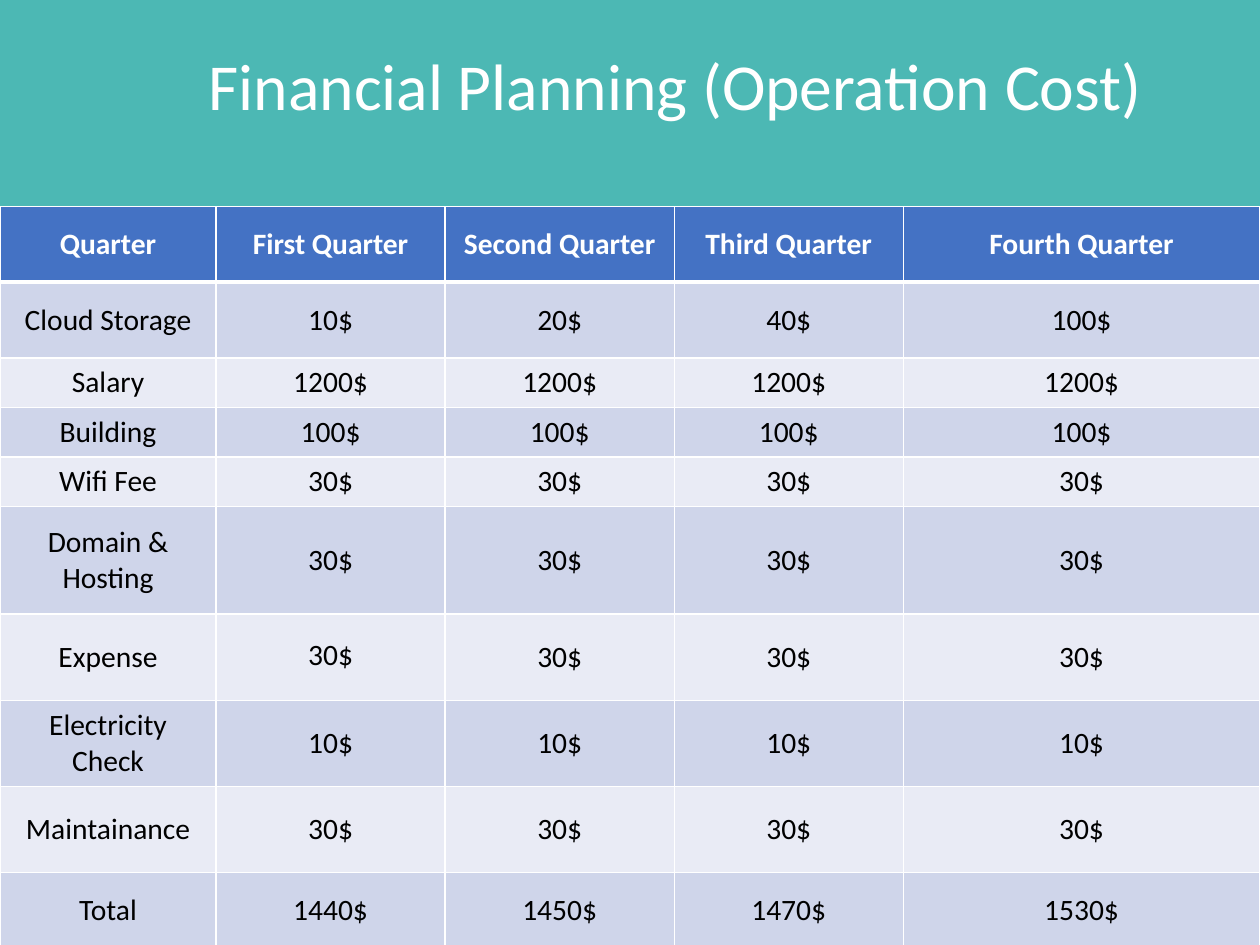
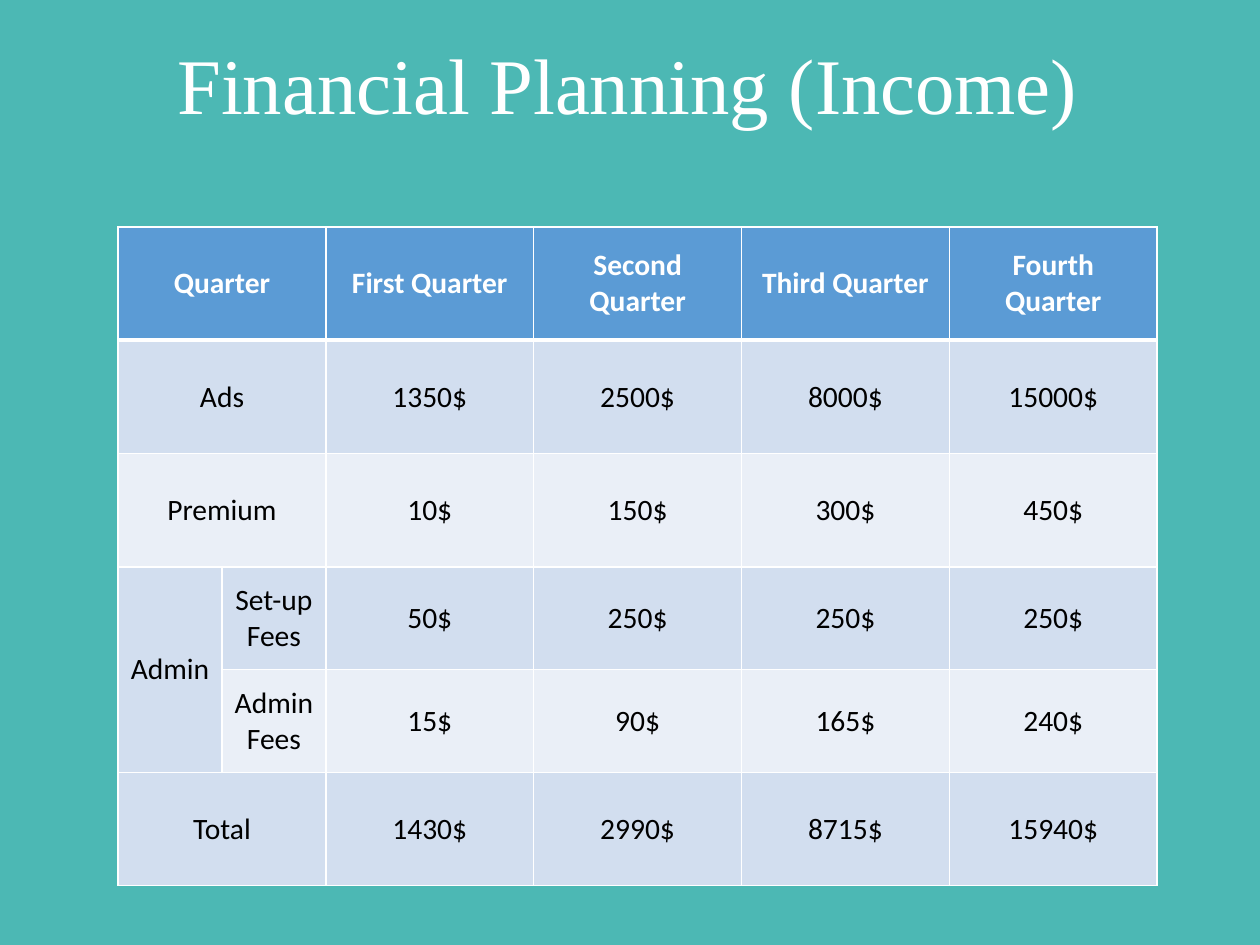
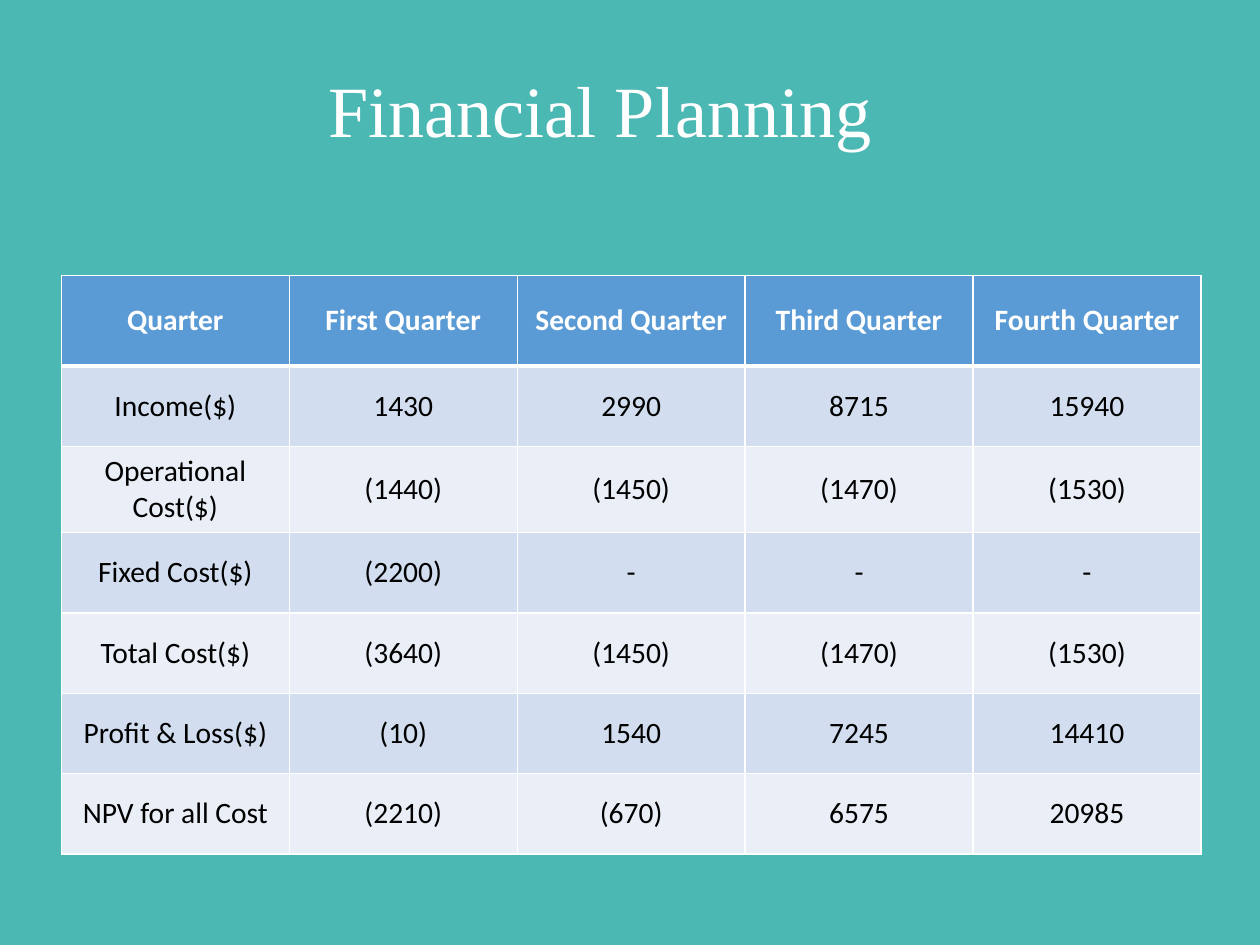
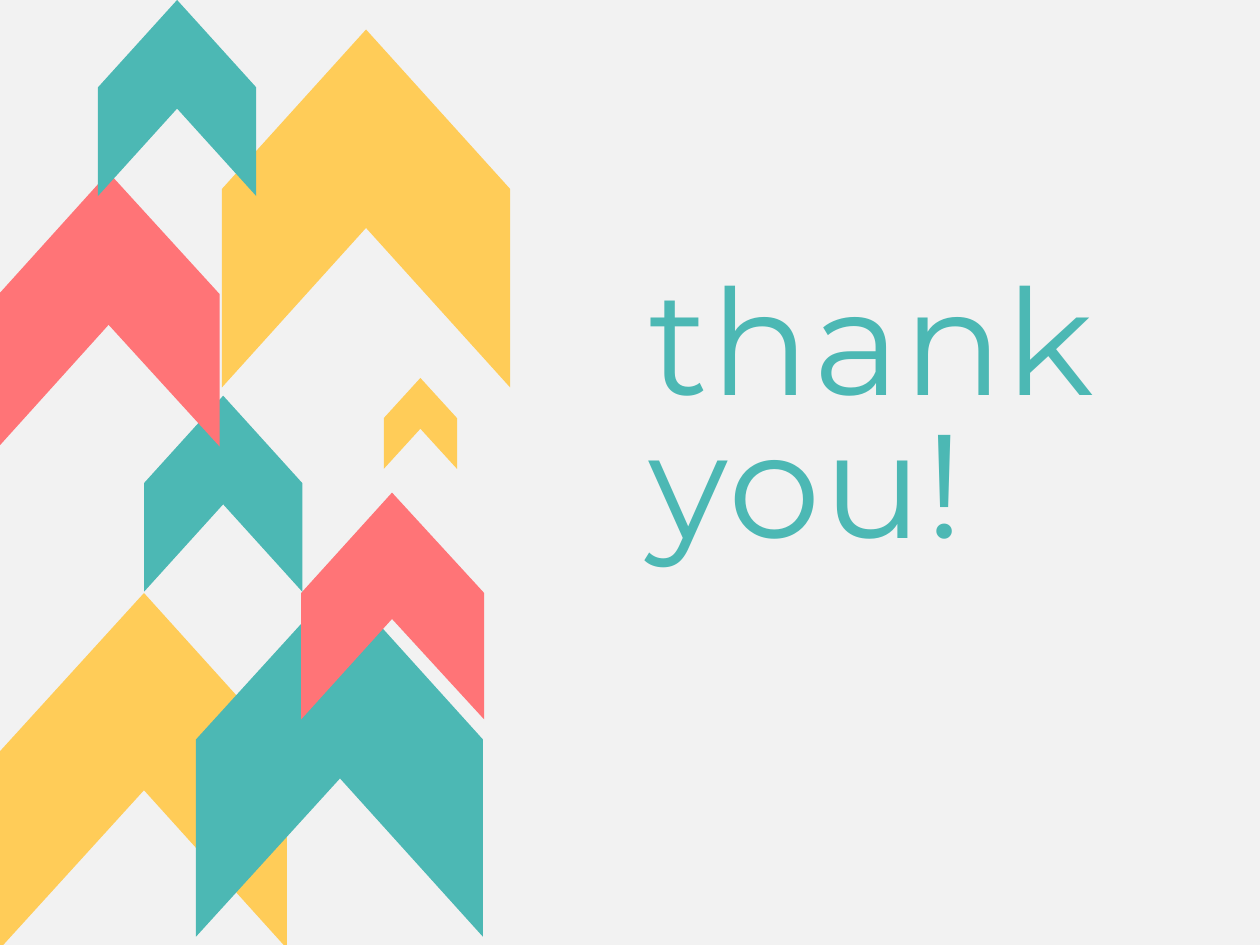
from dataclasses import dataclass

from lxml.etree import SubElement
from pptx import Presentation
from pptx.dml.color import RGBColor
from pptx.enum.text import MSO_ANCHOR as Anchor, MSO_AUTO_SIZE as AutoSize, PP_ALIGN as Align
from pptx.oxml.ns import qn
from pptx.util import Pt

PX = 9144
PAGE_WIDTH, PAGE_HEIGHT = 1067, 800
CHEVRON_ASPECT, SHOULDER, NOTCH = 1.24, 0.445, 0.555

COLORS = {
    "teal": "4CB8B4",
    "yellow": "FFCC58",
    "coral": "FF7477",
    "paper": "F2F2F2",
    "white": "FFFFFF",
    "black": "000000",
    "indigo": "4472C4",
    "indigo_band": "CFD5EA",
    "indigo_pale": "E9EBF5",
    "blue": "5B9BD5",
    "blue_band": "D2DEEF",
    "blue_pale": "EAEFF7",
}
INDIGO_THEME = ("indigo", "indigo_band", "indigo_pale")
BLUE_THEME = ("blue", "blue_band", "blue_pale")
QUARTERS = ("First Quarter", "Second Quarter", "Third Quarter", "Fourth Quarter")
CELL_FONT = {"name": "Calibri", "size": Pt(18)}


@dataclass(frozen=True)
class Label:
    text: str
    bounds: tuple[int, int, int, int]
    font: str
    size: float
    color: str = "white"
    align: Align = Align.CENTER
    anchor: Anchor = Anchor.TOP
    level: int = 0
    indent: int = 0
    margin: tuple[int, int] = (10, 5)
    line_points: float | None = None
    tracking: int = 0


@dataclass(frozen=True)
class Grid:
    left: int
    top: int
    columns: tuple[int, ...]
    heights: tuple[int, ...]
    theme: tuple[str, str, str]
    rows: tuple[tuple[str, ...], ...]
    merges: tuple[tuple[int, int, int, int], ...] = ()
    tight_cells: tuple[tuple[int, int], ...] = ()


@dataclass(frozen=True)
class Chevron:
    left: int
    top: int
    width: int
    color: str


COST_ROWS = (
    ("Quarter", *QUARTERS),
    ("Cloud Storage", "10$", "20$", "40$", "100$"),
    ("Salary", *["1200$"] * 4),
    ("Building", *["100$"] * 4),
    ("Wifi Fee", *["30$"] * 4),
    ("Domain & Hosting", *["30$"] * 4),
    ("Expense", *["30$"] * 4),
    ("Electricity Check", *["10$"] * 4),
    ("Maintainance", *["30$"] * 4),
    ("Total", "1440$", "1450$", "1470$", "1530$"),
)
INCOME_ROWS = (
    ("Quarter", "", *QUARTERS),
    ("Ads", "", "1350$", "2500$", "8000$", "15000$"),
    ("Premium", "", "10$", "150$", "300$", "450$"),
    ("Admin", "Set-up Fees", "50$", "250$", "250$", "250$"),
    ("", "Admin Fees", "15$", "90$", "165$", "240$"),
    ("Total", "", "1430$", "2990$", "8715$", "15940$"),
)
SUMMARY_ROWS = (
    ("Quarter", *QUARTERS),
    ("Income($)", "1430", "2990", "8715", "15940"),
    ("Operational Cost($)", "(1440)", "(1450)", "(1470)", "(1530)"),
    ("Fixed Cost($)", "(2200)", "-", "-", "-"),
    ("Total Cost($)", "(3640)", "(1450)", "(1470)", "(1530)"),
    ("Profit & Loss($)", "(10)", "1540", "7245", "14410"),
    ("NPV for all Cost", "(2210)", "(670)", "6575", "20985"),
)

FINANCE_PAGES = (
    (
        Grid(0, 175, (183, 194, 194, 194, 302), (64, 64, 42, 42, 42, 91, 73, 73, 73, 64),
             INDIGO_THEME, COST_ROWS, tight_cells=((6, 1),)),
        Label("Financial Planning (Operation Cost)", (67, 33, 951, 77), "Calibri", 40,
              align=Align.JUSTIFY, level=2, indent=100),
    ),
    (
        Grid(100, 192, (88, 88, 176, 176, 176, 176), (96, 96, 96, 87, 87, 96),
             BLUE_THEME, INCOME_ROWS,
             merges=(*((row, 0, row, 1) for row in (0, 1, 2, 5)), (3, 0, 4, 0))),
        Label("Financial Planning (Income)", (24, 25, 1015, 91), "Times New Roman", 48,
              anchor=Anchor.MIDDLE),
    ),
    (
        Grid(52, 233, (193,) * 5, (77, 68, 73, 68, 68, 68, 68), BLUE_THEME, SUMMARY_ROWS),
        Label("Financial Planning", (167, 50, 683, 84), "Times New Roman", 44),
    ),
)

THANKS = Label("thank you!", (549, 239, 438, 242), "Montserrat", 89.8, "teal",
               align=Align.LEFT, margin=(0, 0), line_points=87, tracking=180)
CHEVRONS = (
    Chevron(0, 502, 243, "yellow"),
    Chevron(166, 492, 243, "teal"),
    Chevron(255, 417, 155, "coral"),
    Chevron(325, 320, 62, "yellow"),
    Chevron(122, 335, 134, "teal"),
    Chevron(-1, 146, 187, "coral"),
    Chevron(188, 25, 244, "yellow"),
    Chevron(83, 0, 134, "teal"),
)


def rgb(name: str) -> RGBColor:
    return RGBColor.from_string(COLORS[name])


def apply_format(target, values: dict) -> None:
    for name, value in values.items():
        setattr(target, name, value)


def paint(fill, color: str) -> None:
    fill.solid()
    fill.fore_color.rgb = rgb(color)


def add_page(deck, color: str):
    page = deck.slides.add_slide(deck.slide_layouts[6])
    paint(page.background.fill, color)
    return page


def add_label(page, label: Label) -> None:
    box = page.shapes.add_textbox(*(length * PX for length in label.bounds))
    side, edge = (length * PX for length in label.margin)
    apply_format(box.text_frame, {
        "word_wrap": True,
        "auto_size": AutoSize.SHAPE_TO_FIT_TEXT,
        "vertical_anchor": label.anchor,
        "margin_left": side,
        "margin_right": side,
        "margin_top": edge,
        "margin_bottom": edge,
    })
    para = box.text_frame.paragraphs[0]
    apply_format(para, {"alignment": label.align, "level": label.level})
    if label.indent:
        properties = para._p.get_or_add_pPr()
        properties.set("marL", str(label.indent * PX))
        properties.set("indent", "0")
    if label.line_points:
        para.line_spacing = Pt(label.line_points)
    span = para.add_run()
    span.text = label.text
    apply_format(span.font, {"name": label.font, "size": Pt(label.size)})
    span.font.color.rgb = rgb(label.color)
    if label.tracking:
        span._r.get_or_add_rPr().set("spc", str(label.tracking))


def add_borders(cell, row: int) -> None:
    widths = {"lnL": 1, "lnR": 1, "lnT": 3 if row == 1 else 1, "lnB": 3 if row == 0 else 1}
    for side, points in widths.items():
        line = SubElement(cell._tc.get_or_add_tcPr(), qn(f"a:{side}"), w=str(Pt(points)))
        fill = SubElement(line, qn("a:solidFill"))
        SubElement(fill, qn("a:srgbClr"), val=COLORS["white"])


def format_cell(cell, text: str, row: int, theme: tuple[str, str, str]) -> None:
    header, band, pale = theme
    add_borders(cell, row)
    paint(cell.fill, header if row == 0 else band if row % 2 else pale)
    cell.vertical_anchor = Anchor.MIDDLE
    if not text:
        return
    para = cell.text_frame.paragraphs[0]
    para.alignment = Align.CENTER
    span = para.add_run()
    span.text = text
    apply_format(span.font, {**CELL_FONT, "bold": row == 0})
    span.font.color.rgb = rgb("white" if row == 0 else "black")


def add_grid(page, grid: Grid) -> None:
    frame = page.shapes.add_table(
        len(grid.heights), len(grid.columns), grid.left * PX, grid.top * PX,
        sum(grid.columns) * PX, sum(grid.heights) * PX)
    table = frame.table
    table.horz_banding = False
    for column, width in zip(table.columns, grid.columns):
        column.width = width * PX
    for row, height in zip(table.rows, grid.heights):
        row.height = height * PX
    for row, texts in enumerate(grid.rows):
        for column, text in enumerate(texts):
            format_cell(table.cell(row, column), text, row, grid.theme)
    for top, left, bottom, right in grid.merges:
        table.cell(top, left).merge(table.cell(bottom, right))
    for row, column in grid.tight_cells:
        table.cell(row, column).text_frame.paragraphs[0].line_spacing = 0.8


def add_chevron(page, chevron: Chevron) -> None:
    left, top, width = chevron.left, chevron.top, chevron.width
    height = round(width * CHEVRON_ASPECT)
    middle, right, bottom = left + width / 2, left + width, top + height
    shoulder, notch = top + height * SHOULDER, top + height * NOTCH
    builder = page.shapes.build_freeform(left, shoulder, scale=PX)
    builder.add_line_segments([
        (left, bottom), (middle, notch), (right, bottom), (right, shoulder), (middle, top),
    ], close=True)
    shape = builder.convert_to_shape()
    shape.shadow.inherit = False
    paint(shape.fill, chevron.color)
    shape.line.fill.background()


def main() -> None:
    deck = Presentation()
    apply_format(deck, {"slide_width": PAGE_WIDTH * PX, "slide_height": PAGE_HEIGHT * PX})
    for grid, title in FINANCE_PAGES:
        page = add_page(deck, "teal")
        add_grid(page, grid)
        add_label(page, title)
    closing = add_page(deck, "paper")
    add_label(closing, THANKS)
    for chevron in CHEVRONS:
        add_chevron(closing, chevron)
    deck.save("out.pptx")


if __name__ == "__main__":
    main()
